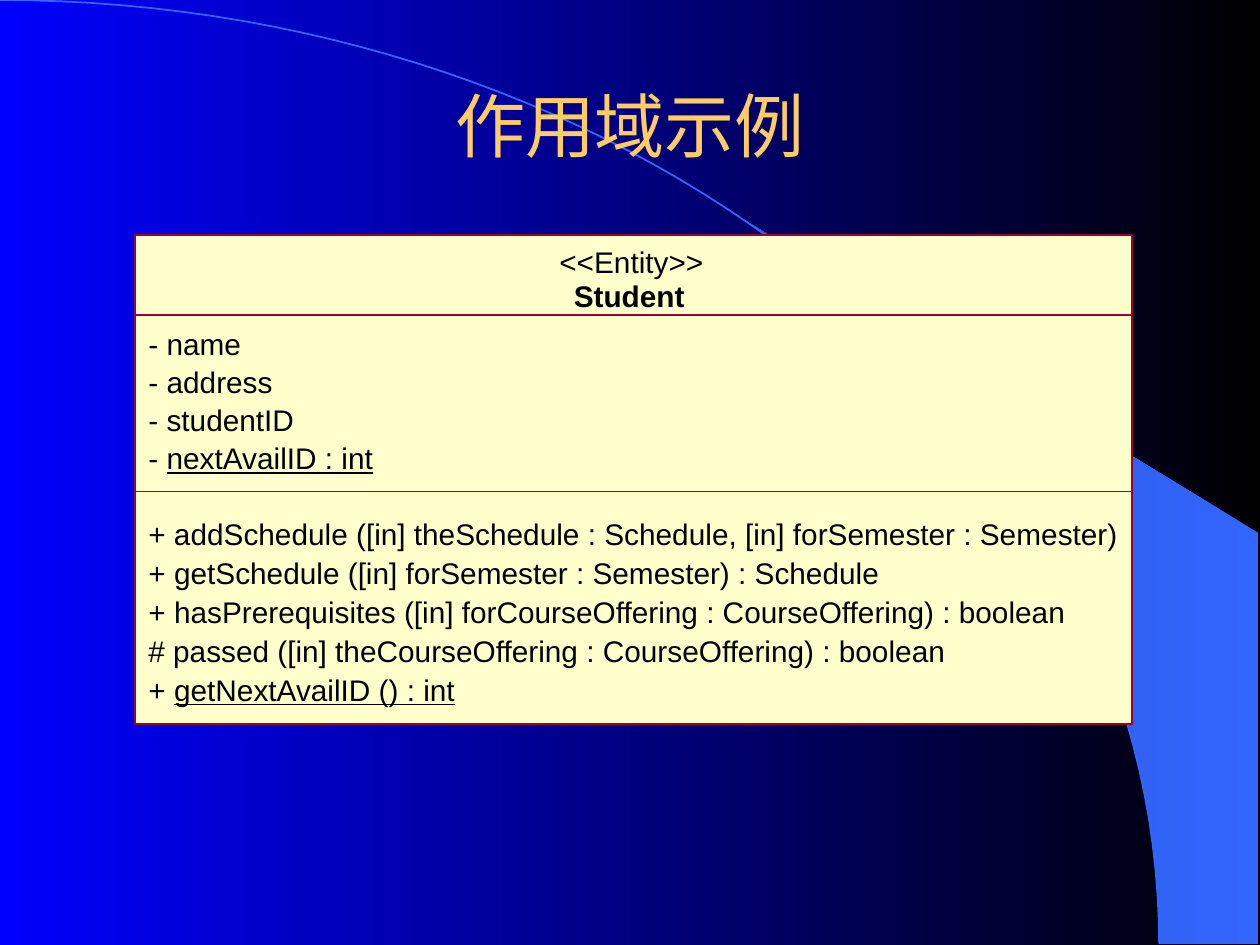
from math import asin, cos, pi, sin

from pptx import Presentation
from pptx.dml.color import RGBColor
from pptx.enum.shapes import MSO_SHAPE
from pptx.enum.text import MSO_ANCHOR, MSO_AUTO_SIZE, PP_ALIGN
from pptx.util import Pt

BLACK = RGBColor(0x00, 0x00, 0x00)
BLUE = RGBColor(0x00, 0x00, 0xFF)
SKY = RGBColor(0x33, 0x66, 0xFF)
DEEP = RGBColor(0x28, 0x51, 0xCC)
GOLD = RGBColor(0xFF, 0xCC, 0x66)
CREAM = RGBColor(0xFF, 0xFF, 0xCC)
WINE = RGBColor(0x99, 0x00, 0x33)
FONT = "Arial"
SLACK = 3  # spare width that keeps each label on one line

# Each row: visibility mark, member text, width, static or not
FIELDS = [
    ("- ", "name", 53.3, False),
    ("- ", "address", 71.3, False),
    ("- ", "studentID", 83.5, False),
    ("- ", "nextAvailID : int", 128.9, True),
]
METHODS = [
    ("+ ", "addSchedule ([in] theSchedule : Schedule, [in] forSemester : Semester)", 554.4, False),
    ("+ ", "getSchedule ([in] forSemester : Semester) : Schedule", 418.3, False),
    ("+ ", "hasPrerequisites ([in] forCourseOffering : CourseOffering) : boolean", 524.9, False),
    ("# ", "passed ([in] theCourseOffering : CourseOffering) : boolean", 456.5, False),
    ("+ ", "getNextAvailID () : int", 175.7, True),
]


def blend(fill, first, last):
    """Fill with a gradient that runs from right to left."""
    fill.gradient()
    fill.gradient_angle = 180
    for stop, color in zip(fill.gradient_stops, (first, last)):
        stop.color.rgb = color


def add_path(slide, points, close):
    spots = [(Pt(x), Pt(y)) for x, y in points]
    pen = slide.shapes.build_freeform(*spots[0], scale=1.0)
    pen.add_line_segments(spots[1:], close=close)
    shape = pen.convert_to_shape()
    shape.shadow.inherit = False
    return shape


def draw_back(slide, wide, high):
    """Draw the sweeping arc and the wedge that shares its edge."""
    blend(slide.background.fill, BLACK, BLUE)
    span = 0.92 * wide

    def curve(start, count):
        angles = [start + (pi / 2 - start) * i / count for i in range(count + 1)]
        return [(span * sin(a), high * (1 - cos(a))) for a in angles]

    edge = curve(asin(0.64), 30)
    wedge = add_path(slide, edge + [(wide - 1, high), (wide - 1, 304.5)], True)
    blend(wedge.fill, SKY, DEEP)
    wedge.line.fill.background()

    arc = add_path(slide, curve(0, 60), False)
    arc.fill.background()
    arc.line.color.rgb = SKY
    arc.line.width = Pt(1)


def add_run(para, text, size, color):
    run = para.add_run()
    run.text = text
    run.font.name = FONT
    run.font.size = Pt(size)
    run.font.color.rgb = color
    return run


def draw_title(slide, x, y, w, h):
    frame = slide.shapes.add_textbox(Pt(x), Pt(y), Pt(w), Pt(h)).text_frame
    frame.word_wrap = True
    frame.vertical_anchor = MSO_ANCHOR.MIDDLE
    para = frame.paragraphs[0]
    para.alignment = PP_ALIGN.CENTER
    add_run(para, "作用域示例", 40, GOLD)


def add_label(slide, x, y, w):
    """Add a tight one-line box and return its paragraph."""
    box = slide.shapes.add_textbox(Pt(x), Pt(y), Pt(w + SLACK), Pt(20))
    frame = box.text_frame
    frame.margin_left = frame.margin_right = 0
    frame.margin_top = frame.margin_bottom = 0
    frame.word_wrap = True
    frame.auto_size = MSO_AUTO_SIZE.SHAPE_TO_FIT_TEXT
    return frame.paragraphs[0]


def add_panel(slide, x, y, w, h):
    panel = slide.shapes.add_shape(MSO_SHAPE.RECTANGLE, Pt(x), Pt(y), Pt(w), Pt(h))
    panel.shadow.inherit = False
    panel.fill.solid()
    panel.fill.fore_color.rgb = CREAM
    panel.line.color.rgb = WINE
    panel.line.width = Pt(1)


def draw_head(slide, x, y, w, h):
    add_panel(slide, x, y, w, h)
    kind = add_label(slide, x + 242.6, y + 5.3, 82.8)
    add_run(kind, "<<Entity>>", 17, BLACK)
    name = add_label(slide, x + 250.9, y + 24.7, 63.4)
    add_run(name, "Student", 17, BLACK).font.bold = True


def draw_part(slide, x, y, w, h, pad, pitch, rows):
    """Draw one compartment with its member rows; static ones are underlined."""
    add_panel(slide, x, y, w, h)
    for i, (mark, text, width, static) in enumerate(rows):
        para = add_label(slide, x + 7.8, y + pad + i * pitch, width)
        add_run(para, mark, 17, BLACK)
        add_run(para, text, 17, BLACK).font.underline = static or None


def draw_class(slide, x, y, w, h):
    draw_head(slide, x, y, w, h)
    draw_part(slide, x, y + 46, w, h - 46, 6, 21.7, FIELDS)
    draw_part(slide, x, y + 146.7, w, h - 146.7, 13.9, 22.2, METHODS)


def main():
    deck = Presentation()
    deck.slide_width, deck.slide_height = Pt(720), Pt(540)
    slide = deck.slides.add_slide(deck.slide_layouts[6])
    draw_back(slide, 720, 539.3)
    draw_title(slide, 54, 48.2, 612, 46)
    draw_class(slide, 77, 134.2, 570, 279.5)
    deck.save("out.pptx")


if __name__ == "__main__":
    main()
